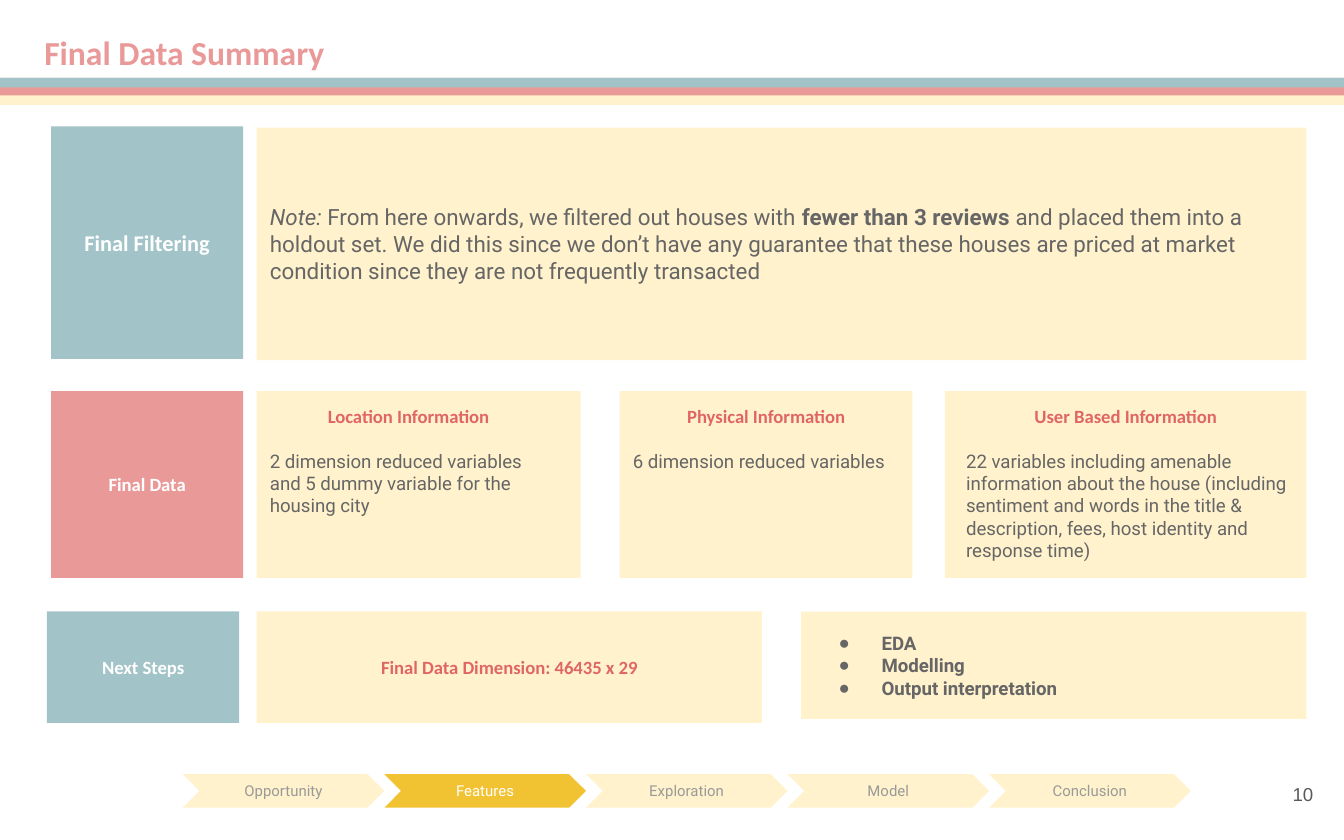
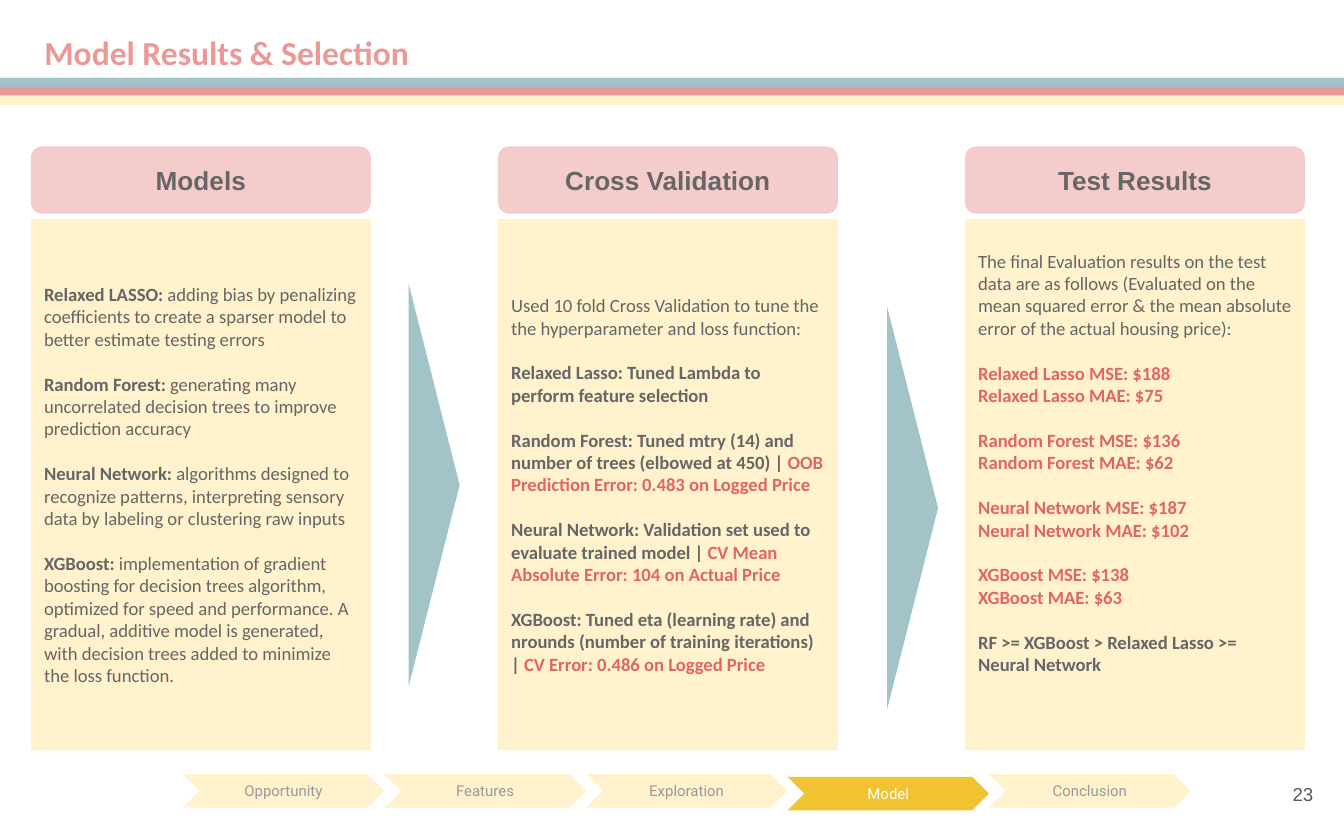
"""Build the final data summary and model results slides."""
from dataclasses import dataclass

from lxml import etree
from pptx import Presentation
from pptx.dml.color import RGBColor
from pptx.enum import shapes, text
from pptx.oxml import ns
from pptx.util import Inches, Pt

KIND = shapes.MSO_SHAPE
LEFT, MID, RIGHT = text.PP_ALIGN.LEFT, text.PP_ALIGN.CENTER, text.PP_ALIGN.RIGHT
TOP, CENTRE = text.MSO_ANCHOR.TOP, text.MSO_ANCHOR.MIDDLE


@dataclass(frozen=True)
class Theme:
    """Colours, fonts and type sizes of the deck."""
    teal: str = "A2C4C9"
    pink: str = "EA9999"
    blush: str = "F4CCCC"
    cream: str = "FFF2CC"
    gold: str = "F1C232"
    red: str = "E06666"
    grey: str = "666666"
    pale: str = "999999"
    dark: str = "595959"
    white: str = "FFFFFF"
    sans: str = "Calibri"
    copy: str = "Roboto"
    plain: str = "Arial"
    title: int = 18
    head: int = 14
    lead: int = 12
    body: int = 10
    step: int = 8


T = Theme()
STEPS = ["Opportunity", "Features", "Exploration", "Model", "Conclusion"]


def style(name, size, ink, bold=False, italic=False):
    """Return the format values of a run."""
    return dict(name=name, size=Pt(size), bold=bold, italic=italic, ink=ink)


NOTE = style(T.copy, T.lead, T.grey)
COPY = style(T.copy, T.body, T.grey)
TEXT = style(T.sans, T.body, T.grey)
BOLD = {**TEXT, "bold": True}
HOT = {**BOLD, "ink": T.red}
TAG = {**BOLD, "ink": T.white}


def para(*runs, gap=0, align=LEFT, left=0, hang=0, mark=None):
    """Describe a paragraph made of (text, style) runs."""
    return dict(runs=runs, gap=gap, align=align, left=left, hang=hang, mark=mark)


def paint(font, form):
    """Apply format values to a font."""
    for key, value in form.items():
        if key == "ink":
            font.color.rgb = RGBColor.from_string(value)
        else:
            setattr(font, key, value)


def write(shape, paras, anchor=CENTRE, right=0.1, base=0.1):
    """Fill the text frame of a shape with paragraphs."""
    frame = shape.text_frame
    form = dict(word_wrap=True, auto_size=text.MSO_AUTO_SIZE.NONE,
                vertical_anchor=anchor, margin_left=Inches(0.1),
                margin_top=Inches(0.1), margin_right=Inches(right),
                margin_bottom=Inches(base))
    for key, value in form.items():
        setattr(frame, key, value)
    for i, item in enumerate(paras):
        line = frame.add_paragraph() if i else frame.paragraphs[0]
        props = line._p.get_or_add_pPr()
        props.set("marL", str(Inches(item["left"])))
        props.set("indent", str(Inches(-item["hang"])))
        if item["mark"]:
            etree.SubElement(props, ns.qn("a:buChar")).set("char", item["mark"])
        line.alignment = item["align"]
        line.space_before = Pt(item["gap"])
        for words, form in item["runs"]:
            run = line.add_run()
            run.text = words
            paint(run.font, form)


def place(shape, at):
    """Move a shape to left, top, width, height in inches."""
    for key, value in zip(("left", "top", "width", "height"), at):
        setattr(shape, key, Inches(value))


def tint(shape, fill):
    """Give a shape a solid fill and no line."""
    shape.fill.solid()
    shape.fill.fore_color.rgb = RGBColor.from_string(fill)
    shape.line.fill.background()


def box(slide, at, fill, paras=(), kind=KIND.RECTANGLE, **opts):
    """Add a filled shape with optional text."""
    shape = slide.shapes.add_shape(kind, *map(Inches, at))
    shape.shadow.inherit = False
    tint(shape, fill)
    if paras:
        write(shape, paras, **opts)
    return shape


def label(slide, at, fill, words, form, **opts):
    """Add a shape with one centred line."""
    return box(slide, at, fill, [para((words, form), align=MID)], **opts)


def card(slide, at, head, words, left=0, right=0.1):
    """Add a cream card with a heading and a text."""
    box(slide, at, T.cream,
        [para((head, HOT), align=MID), para((words, COPY), gap=12, left=left)],
        anchor=TOP, right=right)


def listing(slide, at, items):
    """Turn the body placeholder into a cream bullet list."""
    body = slide.placeholders[1]
    place(body, at)
    tint(body, T.cream)
    form = {**COPY, "bold": True}
    write(body, [para((item, form), left=0.5, hang=0.32, mark="●")
                 for item in items])


def arrow(slide, x, y):
    """Add a tall triangle pointing right."""
    shape = box(slide, (x, y, 3, 0.38), T.teal, kind=KIND.ISOSCELES_TRIANGLE)
    shape.rotation = 90


def track(slide, now, drop=0):
    """Add the row of chevrons with the current step lit."""
    for i, step in enumerate(STEPS):
        live = step == now
        at = (1.36 + 1.5 * i, 5.76 + drop * live, 1.5, 0.25)
        form = style(T.copy, T.step, T.white if live else T.pale)
        label(slide, at, T.gold if live else T.cream, step, form,
              kind=KIND.CHEVRON)


def start(deck, layout, title, page, now, drop=0):
    """Add a slide with title, bands, steps and page number."""
    slide = deck.slides.add_slide(deck.slide_layouts[layout])
    head = slide.shapes.title
    place(head, (0.23, 0.14, 9.77, 0.31))
    write(head, [para((title, style(T.sans, T.title, T.pink, True)))], anchor=TOP)
    box(slide, (0, 0.59, 10, 0.19), T.cream)
    box(slide, (-0.01, 0.58, 10.04, 0.13), T.pink)
    box(slide, (0, 0.58, 10.04, 0.07), T.teal)
    track(slide, now, drop)
    foot = slide.shapes.add_textbox(*map(Inches, (9.27, 5.67, 0.6, 0.48)))
    write(foot, [para((page, style(T.plain, T.body, T.dark)), align=RIGHT)])
    return slide


def summary(deck):
    """Build the final data summary slide."""
    slide = start(deck, 1, "Final Data Summary", "10", "Features")
    label(slide, (0.38, 0.94, 1.43, 1.73), T.teal, "Final Filtering",
          {**TAG, "size": Pt(T.lead)})
    label(slide, (0.38, 2.91, 1.43, 1.39), T.pink, "Final Data", TAG)
    label(slide, (0.35, 4.55, 1.43, 0.83), T.teal, "Next Steps", TAG)
    box(slide, (1.91, 0.95, 7.81, 1.73), T.cream, [para(
        ("Note:", {**NOTE, "italic": True}),
        (" From here onwards, we filtered out houses with ", NOTE),
        ("fewer than 3 reviews", {**NOTE, "bold": True}),
        (" and placed them into a holdout set. We did this since we don’t have "
         "any guarantee that these houses are priced at market condition since "
         "they are not frequently transacted", NOTE))])
    card(slide, (1.91, 2.91, 2.41, 1.39), "Location Information",
         "2 dimension reduced variables and 5 dummy variable for the housing city",
         right=0.25)
    card(slide, (4.61, 2.91, 2.18, 1.39), "Physical Information",
         "6 dimension reduced variables")
    card(slide, (7.03, 2.91, 2.69, 1.39), "User Based Information",
         "22 variables including amenable information about the house (including "
         "sentiment and words in the title & description, fees, host identity "
         "and response time)", left=0.06)
    label(slide, (1.91, 4.55, 3.76, 0.83), T.cream,
          "Final Data Dimension: 46435 x 29", HOT)
    listing(slide, (5.96, 4.55, 3.76, 0.8),
            ["EDA", "Modelling", "Output interpretation"])


def models():
    """Return the paragraphs on the models."""
    facts = [
        ("Relaxed LASSO:", "adding bias by penalizing coefficients to create a "
         "sparser model to better estimate testing errors"),
        ("Random Forest:", "generating many uncorrelated decision trees to "
         "improve prediction accuracy"),
        ("Neural Network:", "algorithms designed to recognize patterns, "
         "interpreting sensory data by labeling or clustering raw inputs"),
        ("XGBoost:", "implementation of gradient boosting for decision trees "
         "algorithm, optimized for speed and performance. A gradual, additive "
         "model is generated, with decision trees added to minimize the loss "
         "function."),
    ]
    return [para((name, BOLD), (" " + words, TEXT), gap=12 if i else 0)
            for i, (name, words) in enumerate(facts)]


def tuning():
    """Return the paragraphs on cross validation."""
    facts = [
        ("Relaxed Lasso: Tuned Lambda to perform feature selection", ""),
        ("Random Forest: Tuned mtry (14) and number of trees (elbowed at 450) | ",
         "OOB Prediction Error: 0.483 on Logged Price"),
        ("Neural Network: Validation set used to evaluate trained model | ",
         "CV Mean Absolute Error: 104 on Actual Price"),
        ("XGBoost: Tuned eta (learning rate) and nrounds (number of training "
         "iterations) | ", "CV Error: 0.486 on Logged Price"),
    ]
    lead = para(("Used 10 fold Cross Validation to tune the the hyperparameter "
                 "and loss function:", TEXT))
    return [lead] + [
        para(*[run for run in ((words, BOLD), (score, HOT)) if run[0]], gap=12)
        for words, score in facts]


def results():
    """Return the paragraphs on the test errors."""
    rows = [("Relaxed Lasso", 188, 75), ("Random Forest", 136, 62),
            ("Neural Network", 187, 102), ("XGBoost", 138, 63)]
    paras = [para(("The final Evaluation results on the test data are as follows "
                   "(Evaluated on the mean squared error & the mean absolute "
                   "error of the actual housing price):", TEXT))]
    for name, mse, mae in rows:
        paras.append(para((f"{name} MSE: ${mse}", HOT), gap=12))
        paras.append(para((f"{name} MAE: ${mae}", HOT)))
    paras.append(para(("RF >= XGBoost > Relaxed Lasso >= Neural Network", BOLD),
                      gap=12))
    return paras


def selection(deck):
    """Build the model results slide."""
    slide = start(deck, 5, "Model Results & Selection", "23", "Model", 0.02)
    form = style(T.plain, T.head, T.grey, True)
    columns = [("Models", models(), 0.1), ("Cross Validation", tuning(), 0.1),
               ("Test Results", results(), 0.43)]
    for i, (head, paras, base) in enumerate(columns):
        x = 0.23 + 3.475 * i
        label(slide, (x, 1.09, 2.53, 0.5), T.blush, head, form,
              kind=KIND.ROUNDED_RECTANGLE)
        box(slide, (x, 1.63, 2.53, 3.95), T.cream, paras, base=base)
    arrow(slide, 1.73, 3.42)
    arrow(slide, 5.29, 3.59)


def main():
    """Build and save the deck."""
    deck = Presentation()
    deck.slide_width, deck.slide_height = Inches(10), Inches(6.25)
    summary(deck)
    selection(deck)
    deck.save("out.pptx")


if __name__ == "__main__":
    main()
